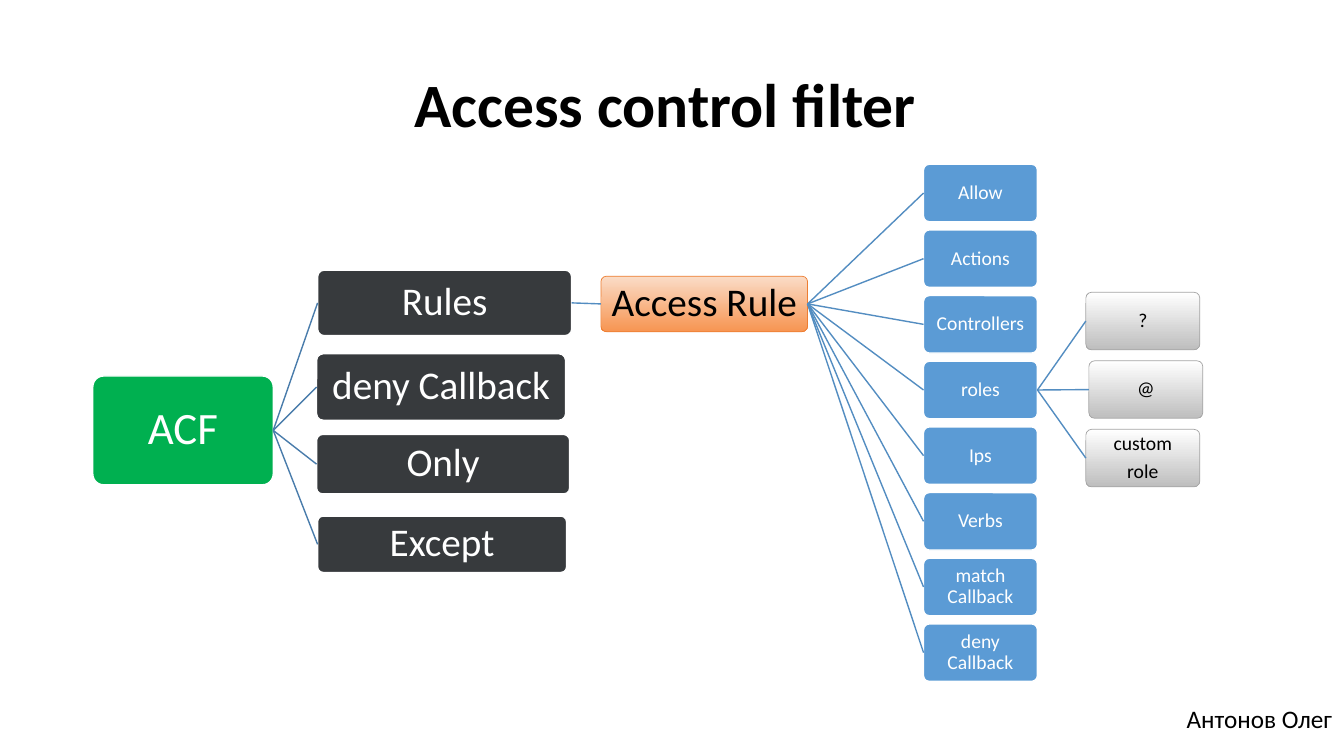
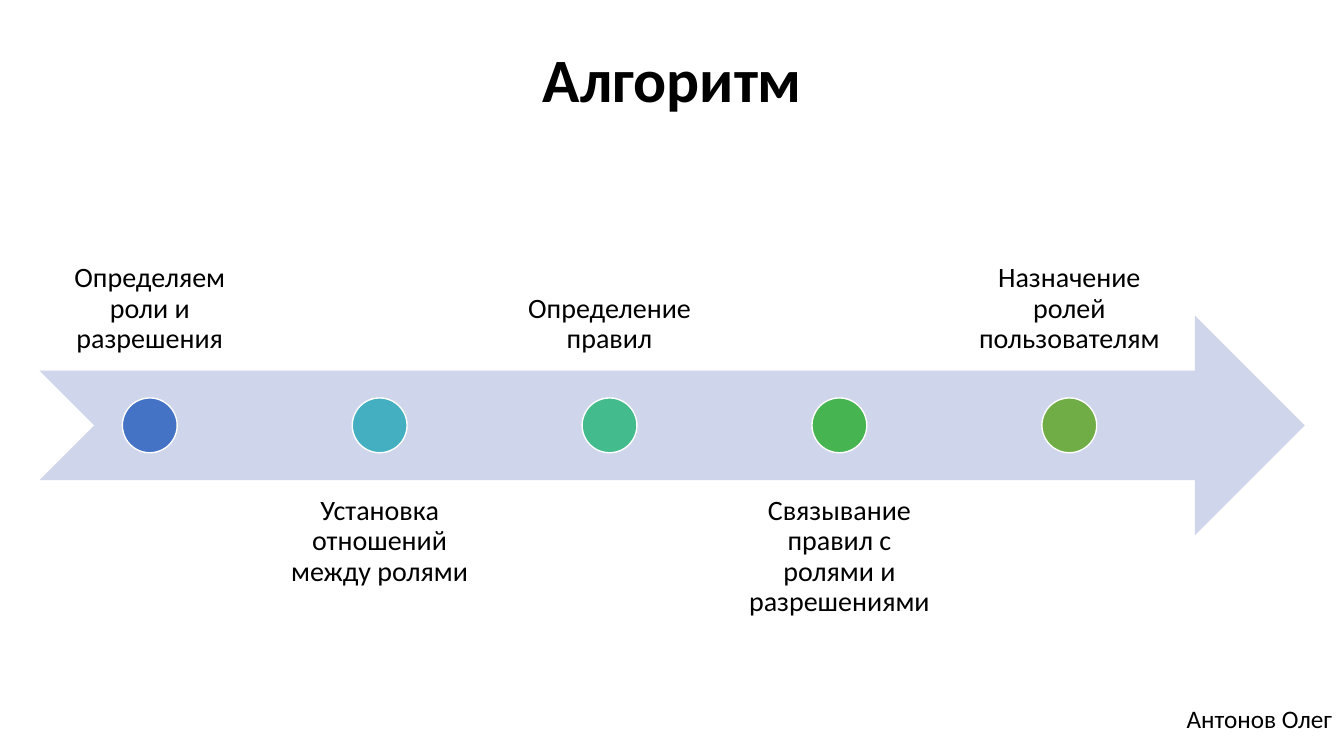
from dataclasses import dataclass

from lxml.etree import SubElement
from pptx import Presentation
from pptx.dml.color import RGBColor
from pptx.enum.shapes import MSO_CONNECTOR, MSO_SHAPE
from pptx.enum.text import MSO_ANCHOR, MSO_AUTO_SIZE, PP_ALIGN
from pptx.oxml.ns import qn
from pptx.util import Inches, Pt


@dataclass(frozen=True)
class Theme:
    font: str = "Calibri"
    black: str = "000000"
    white: str = "FFFFFF"
    root: str = "00B050"
    option: str = "373A3D"
    rule: tuple = ("FADCC7", "F79552")
    rule_line: str = "ED7D31"
    attribute: str = "5B9BD5"
    role: tuple = ("FFFFFF", "BEBEBE")
    role_line: str = "A5A5A5"
    trunk: str = "497CAB"
    branch: str = "538DC1"
    arrow: str = "CFD5EA"
    dots: tuple = ("4472C4", "43AFC0", "43BB8D", "45B451", "70AD47")
    title_size: int = 44
    root_size: int = 32
    option_size: int = 28
    step_size: int = 20
    footer_size: int = 18
    attribute_size: int = 14


@dataclass(frozen=True)
class Box:
    left: float
    top: float
    width: float
    height: float

    def inner(self, left, top, width, height):
        return Box(self.left + left, self.top + top, width, height)

    def lengths(self):
        return [Inches(side) for side in (self.left, self.top, self.width, self.height)]


@dataclass(frozen=True)
class NodeStyle:
    fill: str | tuple
    line: str
    line_width: float
    ink: str
    size: int


THEME = Theme()
ROOT = NodeStyle(THEME.root, THEME.white, 1, THEME.white, THEME.root_size)
OPTION = NodeStyle(THEME.option, THEME.white, 1, THEME.white, THEME.option_size)
RULE = NodeStyle(THEME.rule, THEME.rule_line, 0.5, THEME.black, THEME.option_size)
ATTRIBUTE = NodeStyle(THEME.attribute, THEME.white, 1, THEME.white, THEME.attribute_size)
ROLE = NodeStyle(THEME.role, THEME.role_line, 0.5, THEME.black, THEME.attribute_size)


def color(value):
    return RGBColor.from_string(value)


def write(frame, lines, size, ink, anchor, margin):
    frame.word_wrap = True
    frame.vertical_anchor = anchor
    frame.margin_left = frame.margin_right = Inches(margin)
    frame.margin_top = frame.margin_bottom = Inches(margin)
    for index, line in enumerate(lines):
        para = frame.add_paragraph() if index else frame.paragraphs[0]
        para.alignment = PP_ALIGN.CENTER
        para.line_spacing = 0.9
        para.space_after = Pt(0.35 * size)
        add_span(para, line, size, ink)


def add_span(para, text, size, ink, bold=False):
    span = para.add_run()
    span.text = text
    span.font.name = THEME.font
    span.font.size = Pt(size)
    span.font.bold = bold
    span.font.color.rgb = color(ink)


def paint(shape, fill, line=None, line_width=1):
    shape.shadow.inherit = False
    if isinstance(fill, tuple):
        shape.fill.gradient()
        shape.fill.gradient_angle = 270
        for stop, value in zip(shape.fill.gradient_stops, fill):
            stop.color.rgb = color(value)
    else:
        shape.fill.solid()
        shape.fill.fore_color.rgb = color(fill)
    if line:
        shape.line.color.rgb = color(line)
        shape.line.width = Pt(line_width)
    else:
        shape.line.fill.background()


def add_node(page, box, style, *lines):
    node = page.shapes.add_shape(MSO_SHAPE.ROUNDED_RECTANGLE, *box.lengths())
    node.adjustments[0] = 0.1
    paint(node, style.fill, style.line, style.line_width)
    write(node.text_frame, lines, style.size, style.ink, MSO_ANCHOR.MIDDLE, 0.03)
    return node


def link(page, parent, child, ink):
    connector = page.shapes.add_connector(MSO_CONNECTOR.STRAIGHT, 0, 0, 0, 0)
    connector.begin_connect(parent, 3)
    connector.end_connect(child, 1)
    connector.line.color.rgb = color(ink)
    connector.line.width = Pt(1)
    SubElement(connector._element.spPr, qn("a:effectLst"))


def add_page(deck, title, title_box):
    page = deck.slides.add_slide(deck.slide_layouts[5])
    heading = page.shapes.title
    heading.left, heading.top, heading.width, heading.height = title_box.lengths()
    frame = heading.text_frame
    frame.vertical_anchor = MSO_ANCHOR.MIDDLE
    frame.paragraphs[0].alignment = PP_ALIGN.CENTER
    add_span(frame.paragraphs[0], title, THEME.title_size, THEME.black, True)
    return page


def add_footer(page, box):
    frame = page.shapes.add_textbox(*box.lengths()).text_frame
    frame.word_wrap = False
    frame.auto_size = MSO_AUTO_SIZE.SHAPE_TO_FIT_TEXT
    add_span(frame.paragraphs[0], "Антонов Олег", THEME.footer_size, THEME.black)


def add_filter_tree(page, box):
    root = add_node(page, box.inner(0, 2.1, 1.79, 1.08), ROOT, "ACF")
    options = {}
    for name, left, top, width, height in (
        ("Rules", 2.23, 1.05, 2.52, 0.65),
        ("deny Callback", 2.22, 1.88, 2.47, 0.66),
        ("Only", 2.22, 2.68, 2.51, 0.59),
        ("Except", 2.23, 3.49, 2.47, 0.56),
    ):
        options[name] = add_node(page, box.inner(left, top, width, height), OPTION, name)
        link(page, root, options[name], THEME.trunk)

    rule = add_node(page, box.inner(5.04, 1.11, 2.05, 0.55), RULE, "Access Rule")
    link(page, options["Rules"], rule, THEME.branch)

    names = ("Allow", "Actions", "Controllers", "roles", "Ips", "Verbs",
             "match Callback", "deny Callback")
    width, height = 1.13, 0.57
    pitch = (box.height - height) / (len(names) - 1)
    attributes = {}
    for index, name in enumerate(names):
        place = box.inner(8.24, index * pitch, width, height)
        attributes[name] = add_node(page, place, ATTRIBUTE, name)
        link(page, rule, attributes[name], THEME.branch)

    for index, (left, lines) in enumerate((
        (9.85, ["?"]), (9.88, ["@"]), (9.85, ["custom", "role"]),
    )):
        place = box.inner(left, 1.27 + index * 0.68, width, height)
        role = add_node(page, place, ROLE, *lines)
        link(page, attributes["roles"], role, THEME.branch)


def add_timeline(page, box, steps):
    band = 0.4 * box.height
    dot_size = 0.1 * box.height
    arrow_box = box.inner(0, 0.3 * box.height, box.width, band)
    arrow = page.shapes.add_shape(MSO_SHAPE.NOTCHED_RIGHT_ARROW, *arrow_box.lengths())
    paint(arrow, THEME.arrow)
    pitch = 2.28
    width = pitch / 1.05
    for index, (step, fill) in enumerate(zip(steps, THEME.dots)):
        below = index % 2
        left = 0.01 + index * pitch
        label_box = box.inner(left, 0.6 * box.height * below, width, band)
        label = page.shapes.add_textbox(*label_box.lengths())
        anchor = MSO_ANCHOR.TOP if below else MSO_ANCHOR.BOTTOM
        write(label.text_frame, [step], THEME.step_size, THEME.black, anchor, 0.16)
        dot_box = box.inner(left + (width - dot_size) / 2, 0.45 * box.height,
                            dot_size, dot_size)
        dot = page.shapes.add_shape(MSO_SHAPE.OVAL, *dot_box.lengths())
        paint(dot, fill, THEME.white)


deck = Presentation()
deck.slide_width, deck.slide_height = Inches(13.33), Inches(7.5)

filter_page = add_page(deck, "Access control filter ", Box(0.92, 0.3, 11.5, 1.45))
add_filter_tree(filter_page, Box(0.92, 1.63, 11.01, 5.13))

algorithm_page = add_page(deck, "Алгоритм", Box(0.92, 0.05, 11.5, 1.45))
add_timeline(algorithm_page, Box(0.39, 1.5, 12.55, 5.44), (
    "Определяем роли и разрешения",
    "Установка отношений между ролями",
    "Определение правил",
    "Связывание правил с ролями и разрешениями",
    "Назначение ролей пользователям",
))

for page in deck.slides:
    add_footer(page, Box(11.67, 6.93, 1.67, 0.4))

deck.save("out.pptx")
